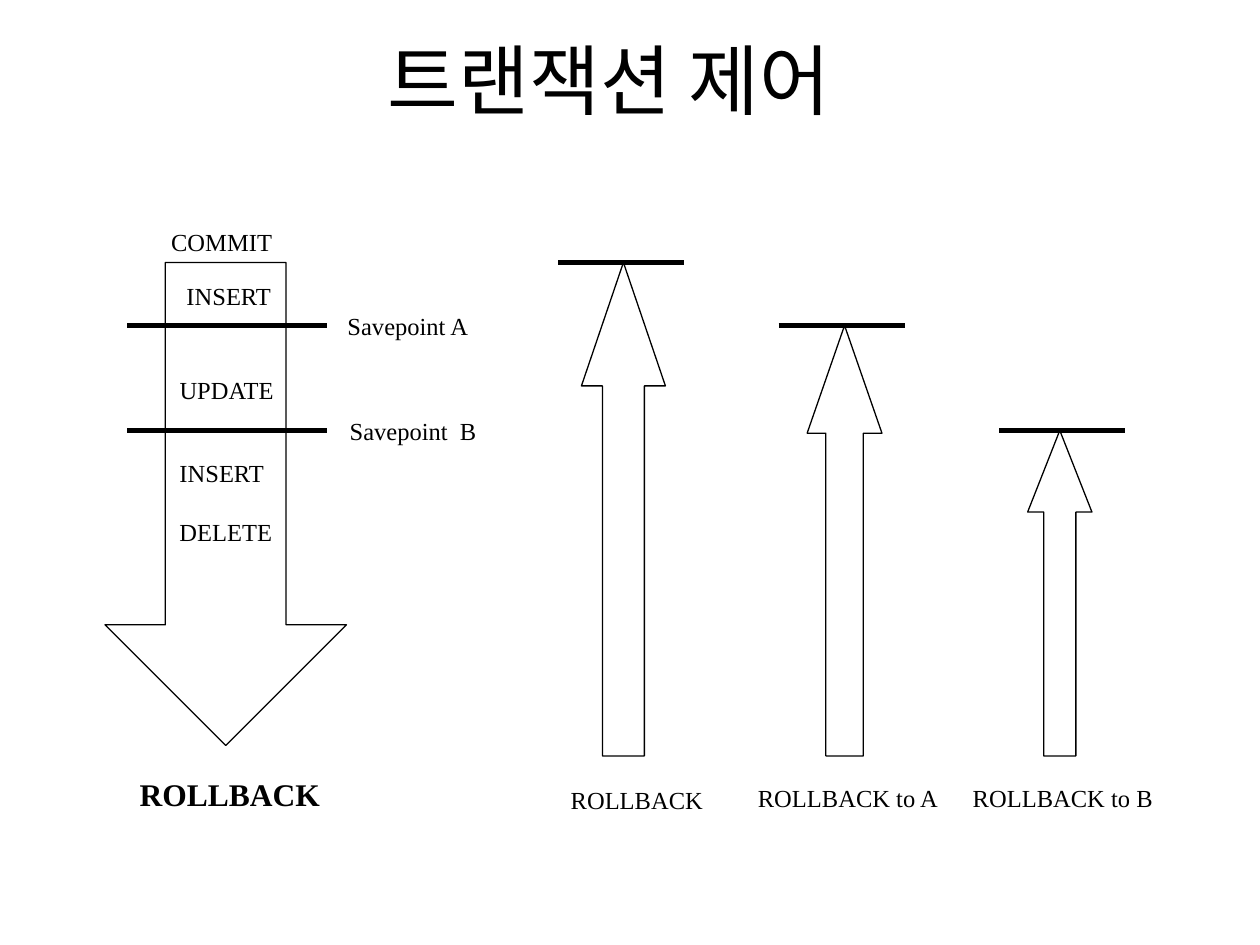
"""Build the transaction control slide: savepoints and the reach of each rollback."""
from lxml import etree
from pptx import Presentation
from pptx.enum.shapes import MSO_CONNECTOR, MSO_SHAPE
from pptx.enum.text import MSO_ANCHOR, MSO_AUTO_SIZE, PP_ALIGN
from pptx.dml.color import RGBColor
from pptx.oxml.ns import qn
from pptx.util import Pt

STRAIGHT = MSO_CONNECTOR.STRAIGHT
DOWN, UP = MSO_SHAPE.DOWN_ARROW, MSO_SHAPE.UP_ARROW
MIDDLE, CENTER = MSO_ANCHOR.MIDDLE, PP_ALIGN.CENTER
GROW, FIXED = MSO_AUTO_SIZE.SHAPE_TO_FIT_TEXT, MSO_AUTO_SIZE.NONE

COLORS = {"ink": "000000", "paper": "FFFFFF"}
BODY_FONT = "Times New Roman"
TITLE_FONT = "Noto Sans CJK KR"

COMMIT_Y, SAVE_A_Y, SAVE_B_Y, END_Y = 150, 186, 246, 432


class SlideBuilder:
    """Hold the style and the current slide."""

    def __init__(self, prs):
        self.s = prs.slides.add_slide(prs.slide_layouts[5])
        self.ink = RGBColor.from_string(COLORS["ink"])
        self.s.background.fill.solid()
        self.s.background.fill.fore_color.rgb = RGBColor.from_string(COLORS["paper"])

    def run(self, p, text, size, font=BODY_FONT, bold=False):
        r = p.add_run()
        r.text = text
        r.font.size, r.font.name, r.font.bold = Pt(size), font, bold
        r.font.color.rgb = self.ink
        return r

    def title(self, text, x, y, w, h):
        sp = self.s.shapes.title
        sp.left, sp.top, sp.width, sp.height = Pt(x), Pt(y), Pt(w), Pt(h)
        tf = sp.text_frame
        tf.vertical_anchor, tf.auto_size, tf.word_wrap = MIDDLE, FIXED, True
        p = tf.paragraphs[0]
        p.alignment = CENTER
        r = self.run(p, text, 44, TITLE_FONT)
        ea = etree.SubElement(r.font._element, qn("a:ea"))
        ea.set("typeface", TITLE_FONT)

    def label(self, lines, x, y, w, h=24.5, size=14, bold=False, wrap=False, gap=17):
        tf = self.s.shapes.add_textbox(Pt(x), Pt(y), Pt(w), Pt(h)).text_frame
        tf.word_wrap, tf.auto_size = wrap, GROW
        for i, text in enumerate(lines):
            p = tf.add_paragraph() if i else tf.paragraphs[0]
            if i:
                p.space_before = Pt(gap)
            self.run(p, text, size, bold=bold)

    def arrow(self, kind, x, y, w, h, head):
        sp = self.s.shapes.add_shape(kind, Pt(x), Pt(y), Pt(w), Pt(h))
        sp.shadow.inherit = False
        sp.adjustments[0], sp.adjustments[1] = 0.5, head
        sp.fill.background()
        sp.line.color.rgb, sp.line.width = self.ink, Pt(0.75)

    def bar(self, x, y, w):
        c = self.s.shapes.add_connector(STRAIGHT, Pt(x), Pt(y), Pt(x + w), Pt(y))
        c.line.color.rgb, c.line.width = self.ink, Pt(3)
        etree.SubElement(c._element.spPr, qn("a:effectLst"))


def main():
    prs = Presentation()
    prs.slide_width, prs.slide_height = Pt(720), Pt(540)
    b = SlideBuilder(prs)
    b.title("트랜잭션 제어", 42, 0, 612, 90)

    b.arrow(DOWN, 60, COMMIT_Y, 138, 276, 0.5)
    for y in (SAVE_A_Y, SAVE_B_Y):
        b.bar(72.75, y, 114)
    b.label(["COMMIT"], 90.75, 126, 72)
    b.label(["INSERT"], 99.5, 157, 63.5)
    b.label(["UPDATE"], 95.5, 211, 70)
    b.label(["INSERT", "DELETE"], 95.5, 258, 72, 57.5, wrap=True)
    b.label(["Savepoint A"], 191.5, 174, 91, wrap=True)
    b.label(["Savepoint  B"], 192.75, 234, 89, wrap=True)
    b.label(["ROLLBACK"], 72.75, 439.5, 126, 29, size=18, bold=True, wrap=True)

    rollbacks = [
        ("ROLLBACK", COMMIT_Y, 332.25, 48, 1.47, 319, 445, 90),
        ("ROLLBACK to A", SAVE_A_Y, 461.25, 42.75, 1.44, 426, 444, 118),
        ("ROLLBACK to B", SAVE_B_Y, 587.25, 36.75, 1.27, 548.75, 444, 117.5),
    ]
    for i, (text, y, x, w, head, label_x, label_y, label_w) in enumerate(rollbacks):
        b.bar(319 + 126 * i, y, 72)
        b.arrow(UP, x, y, w, END_Y - y, head)
        b.label([text], label_x, label_y, label_w)

    prs.save("out.pptx")


if __name__ == "__main__":
    main()
